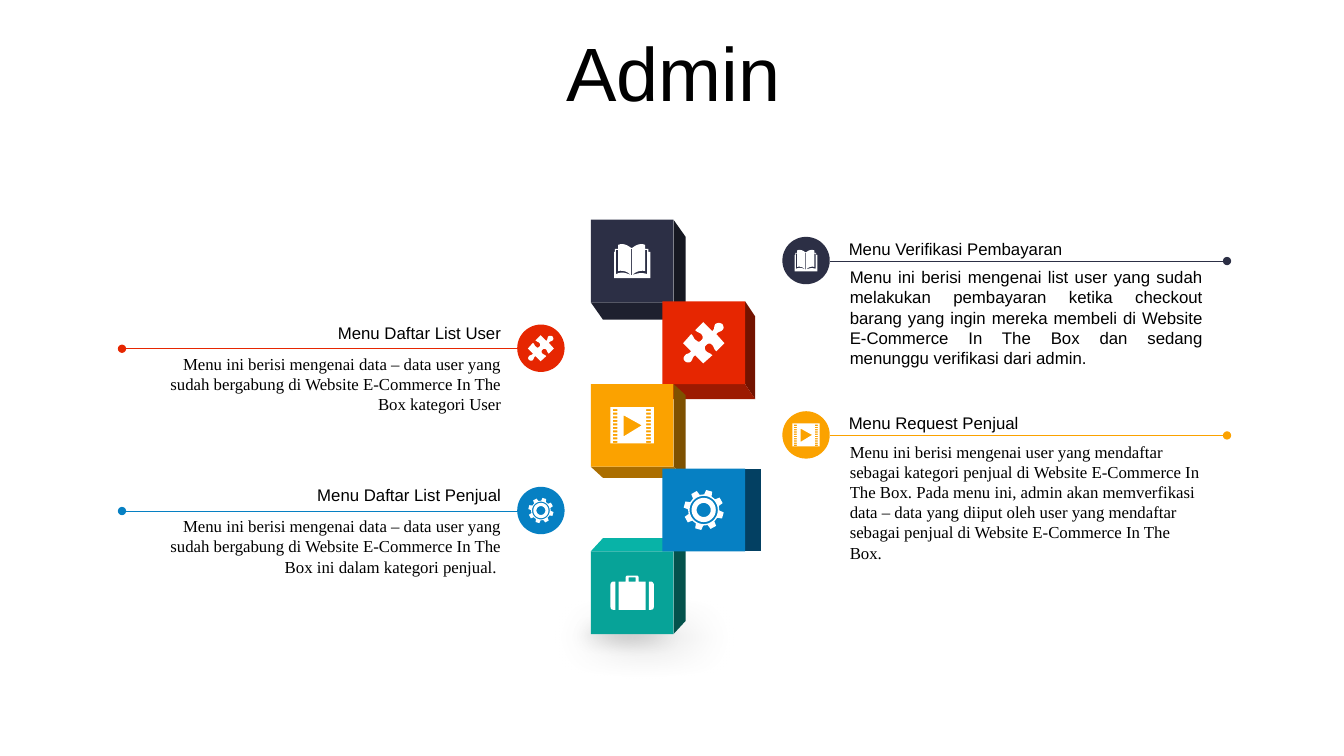
import math
from lxml import etree
from pptx import Presentation
from pptx.dml.color import RGBColor
from pptx.enum.shapes import MSO_CONNECTOR, MSO_SHAPE
from pptx.enum.text import MSO_ANCHOR, PP_ALIGN
from pptx.oxml.ns import qn
from pptx.util import Pt

PX = 9144
LINE = MSO_CONNECTOR.STRAIGHT
OVAL, RECT = MSO_SHAPE.OVAL, MSO_SHAPE.RECTANGLE
LEFT, RIGHT = PP_ALIGN.LEFT, PP_ALIGN.RIGHT
FULL, MID = PP_ALIGN.JUSTIFY, PP_ALIGN.CENTER
CORE, TOP = MSO_ANCHOR.MIDDLE, MSO_ANCHOR.TOP
SANS, SERIF = "Arial", "Times New Roman"
NAVY, RED, GOLD, BLUE, TEAL = "2C2F45", "E62601", "FBA200", "0680C3", "07A398"
WHITE, BLACK, GREY = "FFFFFF", "000000", "808080"
DISC = 47
CUBE = 82


def box(*spans):
    return [span * PX for span in spans]


def tint(hue):
    return RGBColor.from_string(hue)


def shade(hue, rate):
    parts = [int(hue[i:i + 2], 16) for i in (0, 2, 4)]
    return "".join(f"{min(255, round(part * rate)):02X}" for part in parts)


def paint(shape, hue):
    shape.shadow.inherit = False
    shape.fill.solid()
    shape.fill.fore_color.rgb = tint(hue)
    shape.line.fill.background()
    return shape


def solid(slide, kind, hue, *spans):
    return paint(slide.shapes.add_shape(kind, *box(*spans)), hue)


def trace(steps):
    spots = []
    for step in steps:
        if len(step) == 2:
            spots.append(step)
            continue
        a, b, c, d = spots[-1], step[:2], step[2:4], step[4:]
        for i in range(1, 7):
            t = i / 6
            u = 1 - t
            spots.append(tuple(
                u ** 3 * a[k] + 3 * u * u * t * b[k] + 3 * u * t * t * c[k] + t ** 3 * d[k]
                for k in (0, 1)))
    return spots


def free(slide, rings, hue, x=0, y=0, rate=1):
    pen = None
    for ring in rings:
        spots = [(round((x + a * rate) * PX), round((y + b * rate) * PX))
                 for a, b in trace(ring)]
        if pen is None:
            pen = slide.shapes.build_freeform(*spots[0])
        else:
            pen.move_to(*spots[0])
        pen.add_line_segments(spots[1:], close=True)
    return paint(pen.convert_to_shape(), hue)


def frame(x, y, w, h):
    return [(x, y), (x + w, y), (x + w, y + h), (x, y + h)]


def polar(mid, reach, angle):
    turn = math.radians(angle)
    return mid + reach * math.cos(turn), mid + reach * math.sin(turn)


def book():
    cover = [(0, 8), (1, 8), (1, 5), (4, 5), (4, 1), (9, -1, 13, 1, 17, 4), (18, 4),
             (22, 1, 26, -1, 31, 1), (31, 5), (34, 5), (34, 8), (36, 8), (36, 34), (0, 34)]
    west = [(4, 6), (4, 27), (8, 26, 13, 27, 17, 31), (12, 29, 8, 27, 2, 30), (2, 6)]
    east = [(31, 6), (31, 27), (27, 26, 22, 27, 18, 31), (24, 29, 27, 28, 33, 30), (33, 6)]
    return 36, 34, [cover, west, east, frame(17, 5, 1, 26)]


def jigsaw():
    ring = [(39, 2), (40, 4, 41, 6, 39, 8), (37, 10, 35, 9, 33, 12), (41, 21), (33, 29),
            (30, 27, 31, 24, 28, 22), (27, 21, 24, 21, 23, 23), (21, 24, 21, 27, 23, 29),
            (25, 31, 26, 30, 29, 33), (20, 41), (12, 33), (9, 35, 10, 36, 8, 39),
            (6, 41, 3, 40, 2, 39), (0, 37, 0, 35, 2, 33), (3, 31, 6, 32, 8, 29),
            (0, 21), (8, 12), (11, 14, 10, 17, 13, 18), (14, 20, 17, 20, 18, 18),
            (20, 17, 20, 14, 18, 12), (16, 10, 15, 11, 12, 8), (20, 0), (29, 9),
            (32, 6, 30, 5, 32, 2), (35, 0, 37, 1, 39, 2)]
    return 41, 41, [ring]


def film():
    holes = [frame(x, 2 + 3.5 * i, 4.5, 2) for x in (2.5, 35.5) for i in range(10)]
    return 43, 36, [frame(0, 0, 43, 36), [(13, 8), (13, 29), (31, 18)]] + holes


def case():
    east = [(38, 6), (40, 6), (42, 6, 43, 8, 43, 9), (43, 31),
            (43, 33, 42, 34, 40, 34), (38, 34)]
    west = [(43 - step[0], step[1]) if len(step) == 2 else
            tuple(43 - v if i % 2 == 0 else v for i, v in enumerate(step)) for step in east]
    trunk = [(17, 0), (26, 0), (27, 0, 28, 1, 28, 2), (28, 6), (35, 6), (35, 34),
             (8, 34), (8, 6), (15, 6), (15, 2), (15, 1, 16, 0, 17, 0)]
    return 43, 34, [east, west, trunk, frame(18, 2, 7, 4)]


def gear():
    teeth = [polar(20, reach, 16 + 45 * i + turn) for i in range(8)
             for reach, turn in ((15.5, -14), (20, -9), (20, 9), (15.5, 14))]
    hoops = [[polar(20, reach, 10 * i) for i in range(36)] for reach in (14, 12, 7)]
    return 40, 40, [teeth] + hoops


def icon(slide, draw, x, y, rate=1):
    w, h, rings = draw()
    free(slide, rings, WHITE, x - w * rate / 2, y - h * rate / 2, rate)


def cube(slide, x, y, dx, dy, hue, draw):
    r, b = x + CUBE, y + CUBE
    free(slide, [[(r, y), (r + dx, y + dy), (r + dx, b + dy), (r, b)]], shade(hue, 0.5))
    if dy:
        edge = b if dy > 0 else y
        face = [(x, edge), (r, edge), (r + dx, edge + dy), (x + dx, edge + dy)]
        free(slide, [face], shade(hue, 0.68 if dy > 0 else 1.1))
    solid(slide, RECT, hue, x, y, CUBE, CUBE)
    icon(slide, draw, x + CUBE / 2, y + CUBE / 2)


def write(shape, words, font=SANS, size=12, align=LEFT, anchor=TOP, gap=Pt(14.4)):
    frame = shape.text_frame
    frame.word_wrap = True
    frame.vertical_anchor = anchor
    para = frame.paragraphs[0]
    para.alignment = align
    para.line_spacing = gap
    run = para.add_run()
    run.text = words
    run.font.name = font
    run.font.size = Pt(size)
    run.font.color.rgb = tint(BLACK)


def label(slide, words, *spans, **look):
    write(slide.shapes.add_textbox(*box(*spans)), words, **look)


def rule(slide, x, y, end, hue, tip):
    line = slide.shapes.add_connector(LINE, *box(x, y, end, y))
    line.line.color.rgb = tint(hue)
    line.line.width = Pt(0.5)
    etree.SubElement(line.line._get_or_add_ln(), qn(tip)).set("type", "oval")
    etree.SubElement(line._element.spPr, qn("a:effectLst"))


def blur(slide, edge, *spans):
    spot = solid(slide, OVAL, GREY, *spans)
    tone = spot._element.spPr.find(qn("a:solidFill"))[0]
    etree.SubElement(tone, qn("a:alpha")).set("val", "51000")
    glow = spot._element.spPr.find(qn("a:effectLst"))
    etree.SubElement(glow, qn("a:softEdge")).set("rad", str(edge * PX))


def item(slide, east, y, hue, draw, head, body, tall, font, align):
    x = 776 if east else 513
    solid(slide, OVAL, hue, x, y, DISC, DISC)
    icon(slide, draw, x + DISC / 2, y + DISC / 2, 0.63)
    if east:
        rule(slide, 823, y + 24, 1217, hue, "a:tailEnd")
        label(slide, head, 832, y - 3, 370, 30)
        label(slide, body, 833, y + 25, 370, tall, font=font, align=align)
    else:
        rule(slide, 121, y + 24, 515, hue, "a:headEnd")
        label(slide, head, 137, y - 7, 370, 30, align=RIGHT)
        label(slide, body, 137, y + 24, 370, tall, font=font, align=align)


def main():
    deck = Presentation()
    deck.slide_width, deck.slide_height = box(1333, 750)
    slide = deck.slides.add_slide(deck.slide_layouts[5])
    title = slide.shapes.title
    title.left, title.top, title.width, title.height = box(35, 37, 1266, 79)
    write(title, "Admin", size=54, align=MID, anchor=CORE, gap=0.9)

    blur(slide, 38, 456, 586, 367, 92)
    blur(slide, 18, 527, 606, 189, 47)

    item(slide, True, 235, NAVY, book, "Menu Verifikasi Pembayaran",
         "Menu ini berisi mengenai list user yang sudah melakukan pembayaran ketika checkout "
         "barang yang ingin mereka membeli di Website E-Commerce In The Box dan sedang "
         "menunggu verifikasi dari admin.", 111, SANS, FULL)
    item(slide, False, 322, RED, jigsaw, "Menu Daftar List User",
         "Menu ini berisi mengenai data – data user yang sudah bergabung di Website "
         "E-Commerce In The Box kategori User", 71, SERIF, RIGHT)
    item(slide, True, 408, GOLD, film, "Menu Request Penjual",
         "Menu ini berisi mengenai user yang mendaftar sebagai kategori penjual di Website "
         "E-Commerce In The Box. Pada menu ini, admin akan memverfikasi data – data yang "
         "diiput oleh user yang mendaftar sebagai penjual di Website E-Commerce In The Box.",
         131, SERIF, LEFT)
    item(slide, False, 483, BLUE, gear, "Menu Daftar List Penjual",
         "Menu ini berisi mengenai data – data user yang sudah bergabung di Website "
         "E-Commerce In The Box ini dalam kategori penjual. ", 71, SERIF, RIGHT)

    cube(slide, 586, 218, 12, 17, NAVY, book)
    cube(slide, 657, 299, 10, 15, RED, jigsaw)
    cube(slide, 586, 381, 12, 11, GOLD, film)
    cube(slide, 586, 547, 12, -13, TEAL, case)
    cube(slide, 657, 465, 16, 0, BLUE, gear)
    deck.save("out.pptx")


if __name__ == "__main__":
    main()
